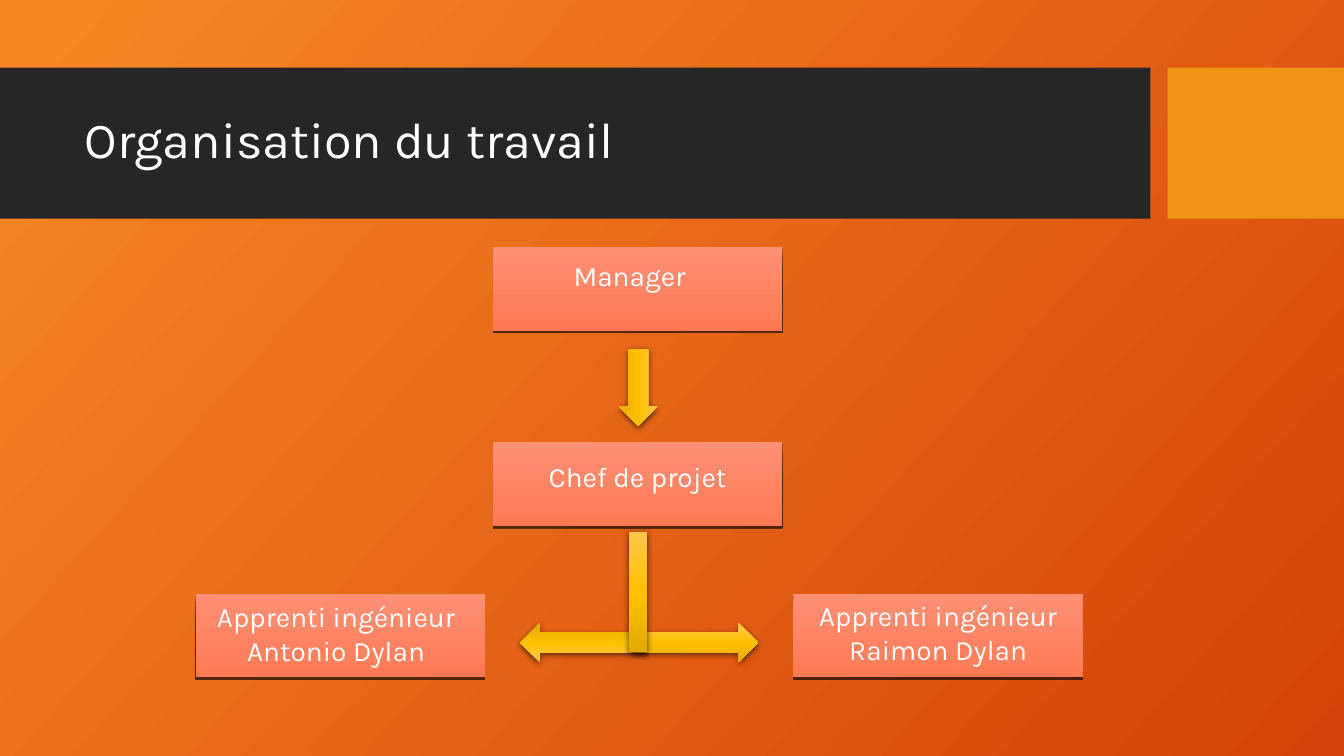
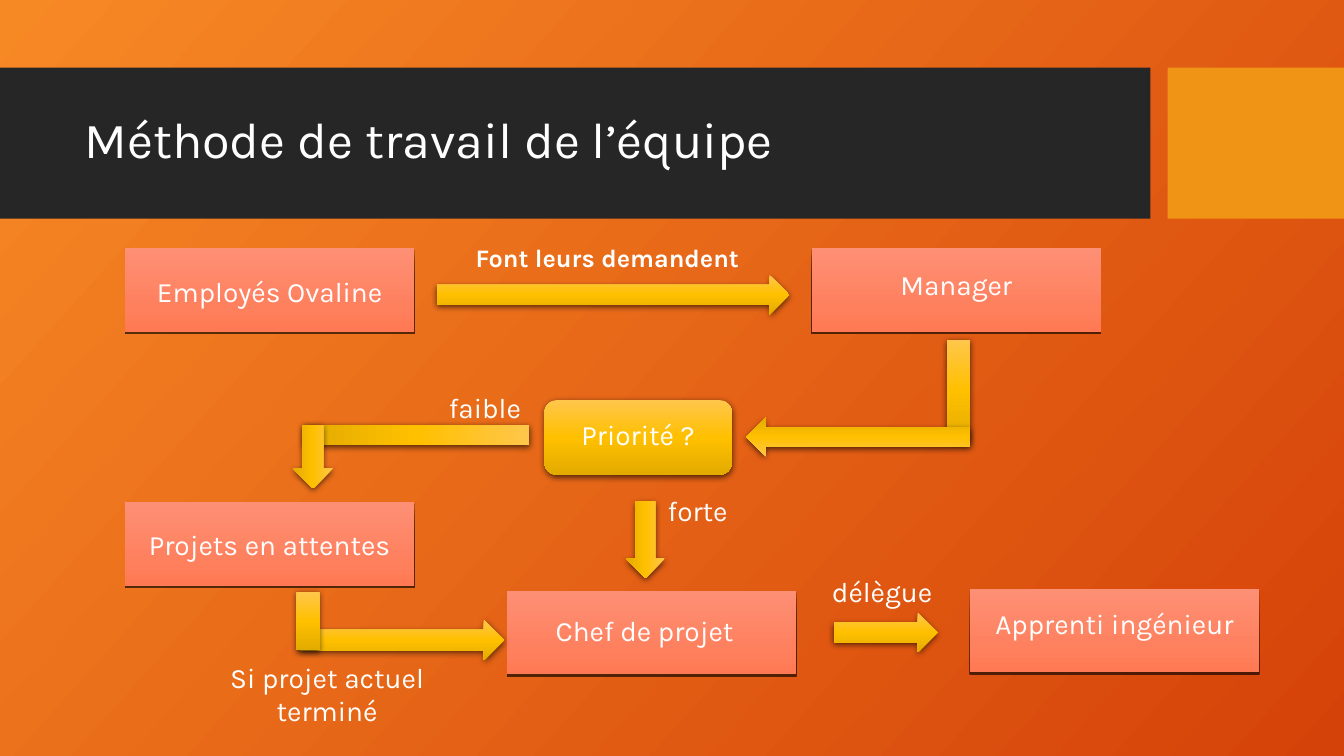
from copy import deepcopy
from typing import NamedTuple

from lxml import etree
from pptx import Presentation
from pptx import util as u
from pptx.dml import color
from pptx.enum import shapes, text
from pptx.oxml import ns

EMU_PER_PX = 9144
SLIDE_WIDTH, SLIDE_HEIGHT = 1333, 750
CARD_SIZE = (287, 83)
INSET_X, INSET_Y = 10, 5

COLORS = {
    "white": "FFFFFF",
    "band": "262626",
    "accent": "F09415",
    "shadow": "000000",
}
GRADIENTS = {
    "background": (["F78925", "D54209"], 42),
    "coral": (["FD8F75", "FF7A54"], 90),
    "gold": (["FFC64B", "FFC000", "E3AB00"], 90),
}
SHADOW_BLUR = {"coral": 0, "gold": 4.5}
BODY_FONT = {"name": "Karla", "size": u.Pt(20), "bold": False}
TITLE_FONT = {**BODY_FONT, "size": u.Pt(36)}
STRONG_FONT = {**BODY_FONT, "size": u.Pt(18), "bold": True}
CENTERED = {"alignment": text.PP_ALIGN.CENTER}
LEFT = {"alignment": text.PP_ALIGN.LEFT}

RECT = shapes.MSO_SHAPE.RECTANGLE
ROUNDED = shapes.MSO_SHAPE.ROUNDED_RECTANGLE
ARROW = shapes.MSO_SHAPE.RIGHT_ARROW


def px(length):
    return u.Emu(length * EMU_PER_PX)


def rgb(name):
    return color.RGBColor.from_string(COLORS[name])


class Box(NamedTuple):
    left: int
    top: int
    width: int
    height: int

    def inside(self, left, top, width, height):
        return Box(self.left + left, self.top + top, width, height)

    def emu(self):
        return [px(length) for length in self]


HEADER = Box(0, 67, SLIDE_WIDTH, 150)
BODY = Box(0, 217, SLIDE_WIDTH, SLIDE_HEIGHT - 217)


def set_all(target, values):
    for attribute, value in values.items():
        setattr(target, attribute, value)


def apply_gradient(fill, owner, name):
    stops, angle = GRADIENTS[name]
    fill.gradient()
    stop_list = next(owner.iter(ns.qn("a:gsLst")))
    for _ in stops[2:]:
        stop_list.append(deepcopy(stop_list[-1]))
    for index, (stop, hex_color) in enumerate(zip(fill.gradient_stops, stops)):
        stop.position = index / (len(stops) - 1)
        stop.color.rgb = color.RGBColor.from_string(hex_color)
    fill.gradient_angle = 360 - angle


def cast_shadow(shape, blur):
    effects = shape._element.spPr.find(ns.qn("a:effectLst"))
    outer = etree.SubElement(
        effects, ns.qn("a:outerShdw"),
        blurRad=str(int(u.Pt(blur))), dist=str(int(u.Pt(1.5))),
        dir="5400000", algn="ctr", rotWithShape="0")
    tint = etree.SubElement(outer, ns.qn("a:srgbClr"), val=COLORS["shadow"])
    etree.SubElement(tint, ns.qn("a:alpha"), val="63000")


def draw(slide, preset, box, fill_name, rotation=0):
    shape = slide.shapes.add_shape(preset, *box.emu())
    shape.shadow.inherit = False
    shape.line.fill.background()
    shape.rotation = rotation
    if fill_name in GRADIENTS:
        apply_gradient(shape.fill, shape._element.spPr, fill_name)
        cast_shadow(shape, SHADOW_BLUR[fill_name])
    else:
        shape.fill.solid()
        shape.fill.fore_color.rgb = rgb(fill_name)
    return shape


def write(frame, lines, font, paragraph_format, frame_format):
    set_all(frame, {"word_wrap": True, **frame_format})
    for index, line in enumerate(lines):
        paragraph = frame.add_paragraph() if index else frame.paragraphs[0]
        set_all(paragraph, paragraph_format)
        run = paragraph.add_run()
        run.text = line
        set_all(run.font, font)
        run.font.color.rgb = rgb("white")


def label(slide, box, line, font=BODY_FONT, paragraph_format=CENTERED,
          anchor=text.MSO_ANCHOR.TOP):
    caption = slide.shapes.add_textbox(*box.emu())
    write(caption.text_frame, [line], font, paragraph_format,
          {"vertical_anchor": anchor})


def card(slide, box, lines, drop, shift=0, preset=RECT, fill_name="coral"):
    step = draw(slide, preset, box, fill_name)
    write(step.text_frame, lines, BODY_FONT, CENTERED, {
        "vertical_anchor": text.MSO_ANCHOR.TOP,
        "margin_top": px(INSET_Y + drop),
        "margin_bottom": px(0),
        "margin_left": px(INSET_X + max(0, 2 * shift)),
        "margin_right": px(INSET_X + max(0, -2 * shift)),
    })


def header(slide, box, title):
    draw(slide, RECT, box.inside(0, 0, 1141, box.height), "band")
    draw(slide, RECT, box.inside(1158, 0, 175, box.height), "accent")
    label(slide, box.inside(74, 15, 1051, 118), title, TITLE_FONT,
          {**LEFT, "line_spacing": 0.9}, text.MSO_ANCHOR.MIDDLE)


def cards(slide, box, steps):
    for left, top, lines, drop, shift in steps:
        card(slide, box.inside(left, top, *CARD_SIZE), lines, drop, shift)


def links(slide, box, parts):
    for preset, place, rotation in parts:
        draw(slide, preset, box.inside(*place), "gold", rotation)


def organisation(slide, box):
    cards(slide, box, [
        (489, 28, ["Manager"], 6, -8),
        (489, 222, ["Chef de projet"], 12, 0),
        (194, 372, ["Apprenti ingénieur", "Antonio Dylan"], 1, -4),
        (787, 372, ["Apprenti ingénieur", "Raimon Dylan"], 0, 0),
    ])
    links(slide, box, [
        (ARROW, (595, 148, 76, 39), 90),
        (ARROW, (516, 401, 125, 39), 180),
        (ARROW, (631, 401, 121, 39), 0),
        (RECT, (624, 311, 18, 119), 0),
    ])


def team_method(slide, box):
    cards(slide, box, [
        (124, 29, ["Employés Ovaline"], 21, 0),
        (805, 29, ["Manager"], 14, 0),
        (124, 281, ["Projets en attentes"], 20, 0),
        (503, 369, ["Chef de projet"], 18, -7),
        (962, 367, ["Apprenti ingénieur"], 13, 0),
    ])
    card(slide, box.inside(540, 180, 186, 74), ["Priorité ?"], 9,
         preset=ROUNDED, fill_name="gold")
    links(slide, box, [
        (ARROW, (433, 56, 350, 39), 0),
        (ARROW, (602, 299, 76, 39), 90),
        (ARROW, (827, 391, 103, 39), 0),
        (RECT, (939, 120, 23, 101), 0),
        (ARROW, (740, 197, 222, 39), 180),
        (RECT, (403, 103, 20, 223), 90),
        (ARROW, (279, 216, 63, 40), 90),
        (ARROW, (298, 398, 202, 40), 0),
        (RECT, (294, 370, 23, 58), 0),
    ])
    label(slide, box.inside(462, 18, 292, 40), "Font leurs demandent",
          STRONG_FONT, LEFT)
    for left, top, width, height, line in [
        (388, 165, 186, 44, "faible"),
        (599, 268, 186, 44, "forte"),
        (782, 348, 186, 44, "délègue"),
        (181, 433, 287, 77, "Si projet actuel terminé"),
    ]:
        label(slide, box.inside(left, top, width, height), line)


def main():
    deck = Presentation()
    set_all(deck, {"slide_width": px(SLIDE_WIDTH),
                   "slide_height": px(SLIDE_HEIGHT)})
    for title, diagram in [
        ("Organisation du travail", organisation),
        ("Méthode de travail de l’équipe", team_method),
    ]:
        slide = deck.slides.add_slide(deck.slide_layouts[6])
        apply_gradient(slide.background.fill, slide.element, "background")
        header(slide, HEADER, title)
        diagram(slide, BODY)
    deck.save("out.pptx")


if __name__ == "__main__":
    main()
